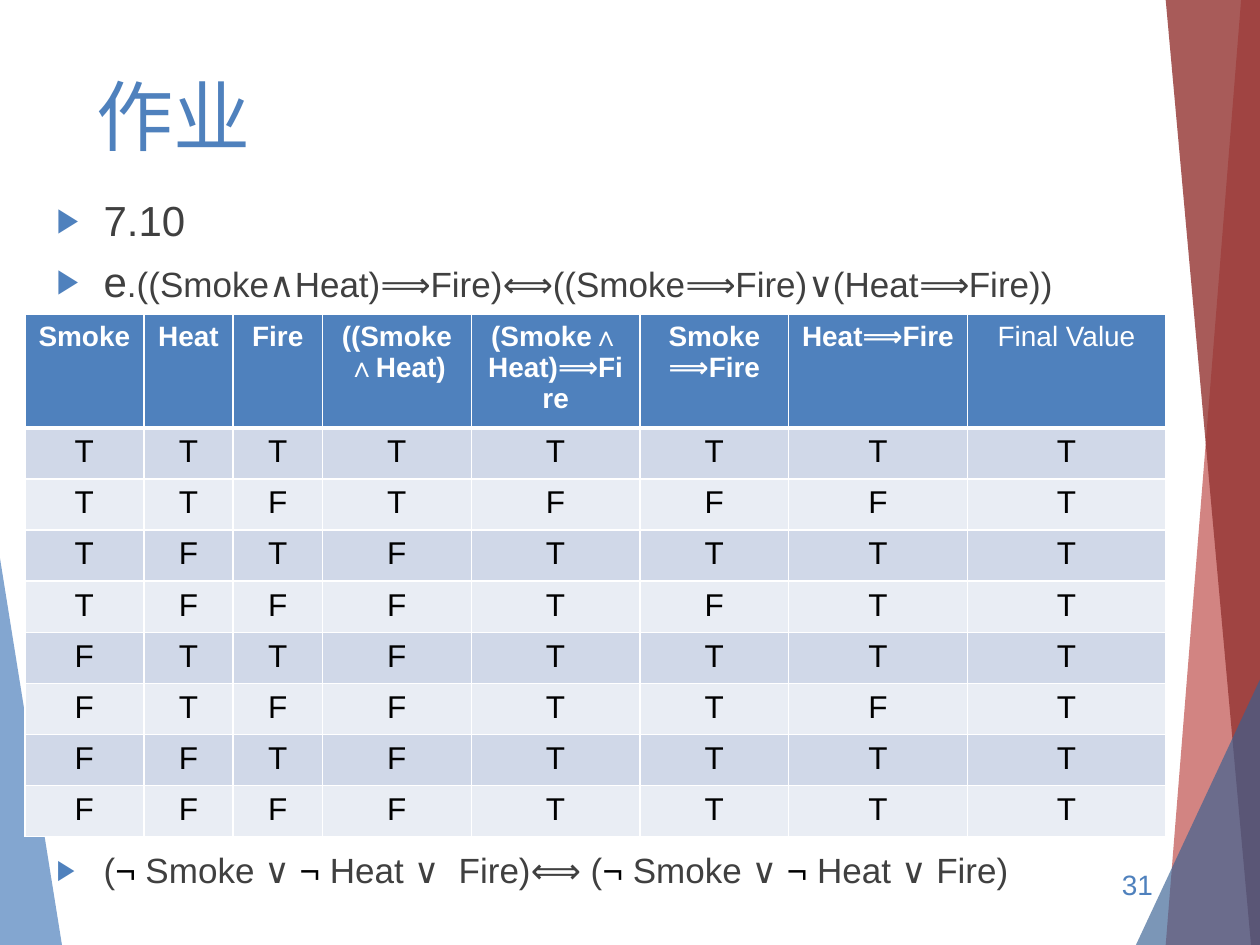
from dataclasses import dataclass
from itertools import product

from lxml import etree
from pptx import Presentation
from pptx import util as u
from pptx.dml.color import RGBColor
from pptx.enum import text
from pptx.oxml.ns import qn


@dataclass(frozen=True)
class Theme:
    font: str = "Arial"
    blue: str = "4F81BD"
    red: str = "C0504D"
    dark_red: str = "953735"
    navy: str = "376092"
    body: str = "404040"
    black: str = "000000"
    white: str = "FFFFFF"
    bands: tuple = ("D0D8E8", "E9EDF4")
    title_size: int = 44
    lead_size: int = 24
    formula_size: int = 20
    cell_size: int = 18
    small_size: int = 16


class SlideBuilder:
    def __init__(self, slide, theme):
        self.slide = slide
        self.theme = theme

    def apply(self, target, formats):
        for name, value in formats.items():
            setattr(target, name, value)

    def child(self, parent, tag, **attributes):
        return etree.SubElement(parent, qn(tag), attributes)

    def runs(self, paragraph, pieces):
        for words, size, color, bold in pieces:
            run = paragraph.add_run()
            run.text = words
            self.apply(run.font, {"name": self.theme.font, "size": u.Pt(size), "bold": bold})
            run.font.color.rgb = RGBColor.from_string(color)

    def facet(self, points, color, opacity):
        corners = [(u.Cm(x), u.Cm(y)) for x, y in points]
        outline = self.slide.shapes.build_freeform(*corners[0])
        outline.add_line_segments(corners[1:], close=True)
        shape = outline.convert_to_shape()
        shape.shadow.inherit = False
        shape.line.fill.background()
        shape.fill.solid()
        shape.fill.fore_color.rgb = RGBColor.from_string(color)
        tint = shape.fill._xPr.find(qn("a:solidFill"))[0]
        self.child(tint, "a:alpha", val=str(opacity * 1000))

    def text_box(self, left, top, width, height, anchor=text.MSO_ANCHOR.TOP):
        box = self.slide.shapes.add_textbox(*map(u.Cm, (left, top, width, height)))
        self.apply(box.text_frame, {"word_wrap": True, "vertical_anchor": anchor})
        return box.text_frame

    def line(self, place, pieces, align=text.PP_ALIGN.LEFT):
        frame = self.text_box(*place, anchor=text.MSO_ANCHOR.MIDDLE)
        frame.paragraphs[0].alignment = align
        self.runs(frame.paragraphs[0], pieces)

    def bullets(self, place, items):
        frame = self.text_box(*place)
        for index, (gap, pieces) in enumerate(items):
            paragraph = frame.add_paragraph() if index else frame.paragraphs[0]
            indent = u.Cm(0.95)
            properties = paragraph._p.get_or_add_pPr()
            properties.set("marL", str(indent))
            properties.set("indent", str(-indent))
            tint = self.child(properties, "a:buClr")
            self.child(tint, "a:srgbClr", val=self.theme.blue)
            self.child(properties, "a:buSzPct", val="80000")
            self.child(properties, "a:buFont", typeface=self.theme.font)
            self.child(properties, "a:buChar", char="▶")
            if index:
                paragraph.space_before = u.Pt(gap)
            self.runs(paragraph, pieces)

    def cell(self, cell, piece, fill, bottom):
        cell.fill.solid()
        cell.fill.fore_color.rgb = RGBColor.from_string(fill)
        paragraph = cell.text_frame.paragraphs[0]
        paragraph.alignment = text.PP_ALIGN.CENTER
        self.runs(paragraph, [piece])
        properties = cell._tc.get_or_add_tcPr()
        weights = {"a:lnL": 1, "a:lnR": 1, "a:lnT": 1, "a:lnB": bottom}
        for position, (tag, weight) in enumerate(weights.items()):
            border = etree.Element(qn(tag), w=str(u.Pt(weight)))
            solid = self.child(border, "a:solidFill")
            self.child(solid, "a:srgbClr", val=self.theme.white)
            properties.insert(position, border)

    def truth_table(self, left, top, widths, heights, headers, rows):
        t = self.theme
        place = map(u.Cm, (left, top, sum(widths), sum(heights)))
        table = self.slide.shapes.add_table(len(heights), len(widths), *place).table
        table.horz_banding = False
        for column, width in zip(table.columns, widths):
            column.width = u.Cm(width)
        for row, height in zip(table.rows, heights):
            row.height = u.Cm(height)
        for c, header in enumerate(headers):
            bold = c < len(headers) - 1
            self.cell(table.cell(0, c), (header, t.small_size, t.white, bold), t.blue, 3)
        for r, values in enumerate(rows, 1):
            for c, value in enumerate(values):
                mark = ("T" if value else "F", t.cell_size, t.black, False)
                self.cell(table.cell(r, c), mark, t.bands[(r - 1) % 2], 1)


def truth_rows():
    for smoke, heat, fire in product((True, False), repeat=3):
        both = smoke and heat
        joint = not both or fire
        by_smoke = not smoke or fire
        by_heat = not heat or fire
        yield smoke, heat, fire, both, joint, by_smoke, by_heat, joint == (by_smoke or by_heat)


def main():
    theme = Theme()
    deck = Presentation()
    deck.slide_width, deck.slide_height = u.Cm(25.4), u.Cm(19.05)
    page = SlideBuilder(deck.slides.add_slide(deck.slide_layouts[6]), theme)

    page.facet([(0, 11.25), (1.25, 19.05), (0, 19.05)], theme.blue, 70)
    page.facet([(25.02, 0), (23.5, 19.05), (25.4, 19.05), (25.4, 0)], theme.red, 70)
    page.facet([(23.5, 0), (25.22, 19.05), (25.4, 19.05), (25.4, 0)], theme.dark_red, 82)
    page.facet([(22.9, 19.05), (25.4, 13.7), (25.4, 19.05)], theme.navy, 66)

    page.line((1.7, 0.91, 21.82, 2.82), [("作业", theme.title_size, theme.blue, False)])

    size = theme.formula_size
    equivalence = "((Smoke∧Heat)⟹Fire)⟺((Smoke⟹Fire)∨(Heat⟹Fire))"
    clauses = ["(", "¬ ", "Smoke ∨", " ¬", " Heat ∨  Fire)⟺ (",
               "¬ ", "Smoke ∨", " ¬", " Heat ∨ Fire)"]
    clause_runs = [(words, size, theme.black if "¬" in words else theme.body, False)
                   for words in clauses]
    page.bullets((0.89, 3.8, 23.27, 14.6), [
        (0, [("7.10", theme.lead_size, theme.body, False)]),
        (6, [("e", theme.lead_size, theme.body, False),
             ("." + equivalence, size, theme.body, False)]),
        (310, clause_runs),
    ])

    page.line((21.74, 17.32, 1.75, 1.02),
              [("31", theme.small_size, theme.blue, False)], text.PP_ALIGN.RIGHT)

    headers = ["Smoke", "Heat", "Fire", "((Smoke∧Heat)", "(Smoke∧Heat)⟹Fire",
               "Smoke⟹Fire", "Heat⟹Fire", "Final\u00a0Value"]
    page.truth_table(0.5, 6.34, [2.4, 1.8, 1.8, 3, 3.4, 3, 3.6, 4],
                     [2.1] + [1.03] * 8, headers, truth_rows())

    deck.save("out.pptx")


if __name__ == "__main__":
    main()
